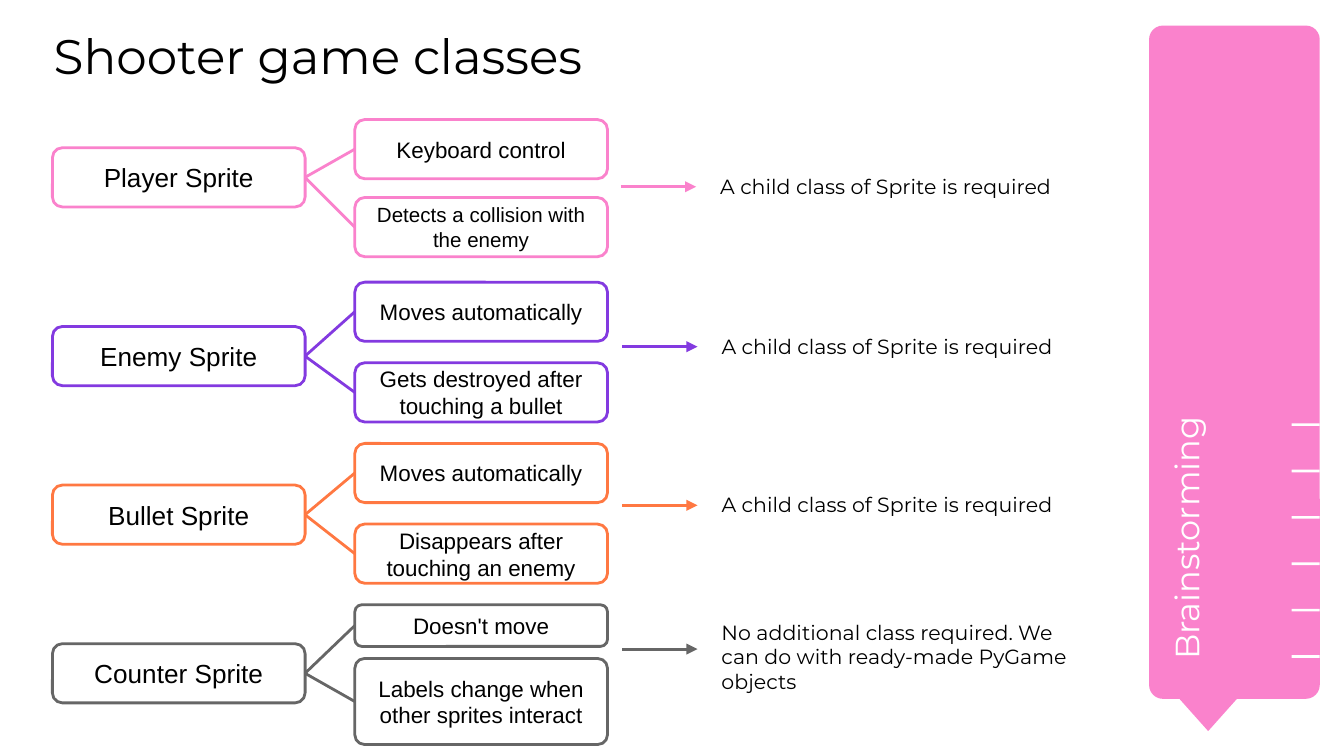
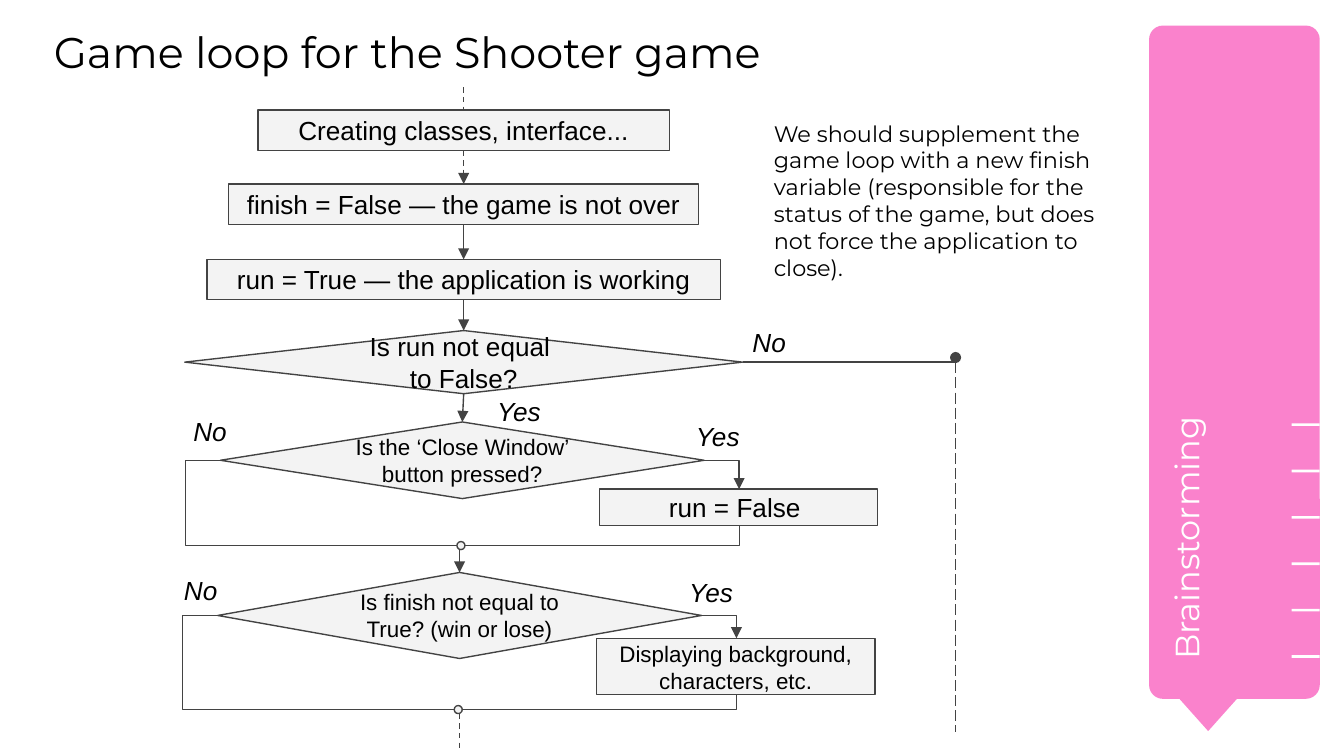
from dataclasses import dataclass

from lxml import etree
from pptx import Presentation
from pptx.dml.color import RGBColor
from pptx.enum import dml, shapes, text
from pptx.oxml.ns import qn
from pptx.util import Inches, Pt


@dataclass(frozen=True)
class Theme:
    pink: str = "FA82CC"
    purple: str = "833AE0"
    orange: str = "FF7842"
    gray: str = "666666"
    ink: str = "000000"
    paper: str = "FFFFFF"
    step_fill: str = "F3F3F3"
    step_line: str = "434343"
    display: str = "Montserrat"
    body: str = "Arial"
    classes_title: float = 26
    loop_title: float = 23
    band_size: float = 18
    large: float = 14
    medium: float = 12
    small: float = 11
    thick: float = 1.5
    thin: float = 0.75


THEME = Theme()
PRESET = shapes.MSO_SHAPE
DASH = dml.MSO_LINE.DASH
LONG_DASH = dml.MSO_LINE.LONG_DASH
TOP, LEFT, BOTTOM, RIGHT = range(4)


def rgb(value):
    return RGBColor.from_string(value)


def write(frame, content, size, font, color=THEME.ink, align=None,
          anchor=text.MSO_ANCHOR.TOP, inset=0.1, italic=None):
    frame.word_wrap = True
    frame.vertical_anchor = anchor
    frame.margin_left = frame.margin_right = Inches(inset)
    frame.margin_top = frame.margin_bottom = Inches(inset)
    frame.text = content
    for paragraph in frame.paragraphs:
        paragraph.alignment = align
        paragraph.font.size = Pt(size)
        paragraph.font.name = font
        paragraph.font.italic = italic
        paragraph.font.color.rgb = rgb(color)


class Region:
    def __init__(self, canvas, left=0, top=0):
        self.canvas, self.left, self.top = canvas, left, top

    def at(self, x, y):
        return Inches(self.left + x), Inches(self.top + y)

    def box(self, preset, x, y, width, height, fill, line=None,
            weight=THEME.thin, content=None, size=THEME.large, corner=None):
        shape = self.canvas.add_shape(
            preset, *self.at(x, y), Inches(width), Inches(height))
        shape.shadow.inherit = False
        shape.fill.solid()
        shape.fill.fore_color.rgb = rgb(fill)
        if line:
            shape.line.color.rgb = rgb(line)
            shape.line.width = Pt(weight)
        else:
            shape.line.fill.background()
        if corner is not None:
            shape.adjustments[0] = corner
        if content:
            write(shape.text_frame, content, size, THEME.body,
                  align=text.PP_ALIGN.CENTER, anchor=text.MSO_ANCHOR.MIDDLE)
        return shape

    def note(self, x, y, width, height, content, size, font=THEME.display,
             **style):
        label = self.canvas.add_textbox(
            *self.at(x, y), Inches(width), Inches(height))
        write(label.text_frame, content, size, font, **style)
        return label

    def line(self, start, end, color=THEME.step_line, weight=THEME.thin,
             dash=None, head=None, tail=None, source=None, target=None,
             kind=shapes.MSO_CONNECTOR.STRAIGHT):
        link = self.canvas.add_connector(kind, *self.at(*start), *self.at(*end))
        if source:
            link.begin_connect(*source)
        if target:
            link.end_connect(*target)
        link.line.color.rgb = rgb(color)
        link.line.width = Pt(weight)
        if dash:
            link.line.dash_style = dash
        properties = link._element.spPr
        stroke = properties.find(qn("a:ln"))
        for tag, ending in (("a:headEnd", head), ("a:tailEnd", tail)):
            if ending:
                etree.SubElement(stroke, qn(tag)).set("type", ending)
        etree.SubElement(properties, qn("a:effectLst"))
        return link

    def elbow(self, start, end, detour=None, downward=False, tail=None):
        (x1, y1), (x2, y2) = start, end
        if downward:
            middle_x, middle_y = (x1 + x2) / 2, (y1 + y2) / 2
            half_run, half_drop = abs(x2 - x1) / 2, abs(y2 - y1) / 2
            start = middle_x - half_drop, middle_y - half_run
            end = middle_x + half_drop, middle_y + half_run
        link = self.line(start, end, tail=tail, kind=shapes.MSO_CONNECTOR.ELBOW)
        geometry = link._element.spPr.find(qn("a:prstGeom"))
        if detour is None:
            geometry.set("prst", "bentConnector2")
        else:
            guides = geometry.find(qn("a:avLst"))
            if guides is None:
                guides = etree.SubElement(geometry, qn("a:avLst"))
            guide = etree.SubElement(guides, qn("a:gd"))
            guide.set("name", "adj1")
            guide.set("fmla", f"val {round(detour / (x2 - x1) * 100000)}")
        if downward:
            link._element.spPr.find(qn("a:xfrm")).set("rot", "5400000")


def side_band(slide, left, top):
    banner = Region(slide.shapes.add_group_shape().shapes, left, top)
    banner.box(PRESET.ROUNDED_RECTANGLE, 0, 0, 1.27, 5.01, THEME.pink,
               corner=0.081)
    banner.box(PRESET.FLOWCHART_MERGE, 0.11, 4.88, 0.66, 0.37, THEME.pink)
    band = Region(slide.shapes, left, top)
    stage = band.note(-1.41, 2.71, 3.54, 0.67, "Brainstorming",
                      THEME.band_size, color=THEME.paper)
    stage.rotation = 270
    for tick in range(6):
        band.box(PRESET.RECTANGLE, 1.06, 2.96 + tick * 0.345, 0.21, 0.02,
                 THEME.paper)


def new_slide(deck, title, size, width, height):
    slide = deck.slides.add_slide(deck.slide_layouts[6])
    side_band(slide, 8.55, 0.19)
    Region(slide.shapes).note(0.4, 0.19, width, height, title, size, inset=0)
    return slide


def sprite_row(slide, left, top, sprite, color, duties, arrow, verdict,
               verdict_box):
    row = Region(slide.shapes, left, top)
    stroke = {"color": color, "weight": THEME.thick}

    def card(x, y, height, content, size, corner=0.167):
        return row.box(PRESET.ROUNDED_RECTANGLE, x, y, 1.88, height,
                       THEME.paper, color, THEME.thick, content, size, corner)

    owner = card(0, 0, 0.44, sprite, THEME.large)
    for y, height, duty, *style in duties:
        task = card(2.25, y, height, duty, *(style or [THEME.medium]))
        row.line((1.88, 0.22), (2.25, y + height / 2),
                 source=(owner, RIGHT), target=(task, LEFT), **stroke)
    arrow_x, arrow_y = arrow
    row.line((arrow_x, arrow_y), (arrow_x + 0.56, arrow_y), tail="triangle",
             **stroke)
    rise, width, height = verdict_box
    row.note(arrow_x + 0.64, arrow_y - rise, width, height, verdict,
             THEME.small)


def classes_slide(deck):
    slide = new_slide(deck, "Shooter game classes", THEME.classes_title,
                      7.94, 0.55)
    child = "A child class of Sprite is required", (0.19, 3.19, 0.39)
    ready = ("No additional class required. We can do with ready-made "
             "PyGame objects", (0.32, 2.94, 0.76))
    rows = [
        (1.1, "Player Sprite", THEME.pink, [
            (-0.21, 0.44, "Keyboard control"),
            (0.37, 0.44, "Detects a collision with the enemy", THEME.small),
        ], (4.23, 0.29), *child),
        (2.43, "Enemy Sprite", THEME.purple, [
            (-0.33, 0.44, "Moves automatically"),
            (0.27, 0.44, "Gets destroyed after touching a bullet"),
        ], (4.24, 0.15), *child),
        (3.61, "Bullet Sprite", THEME.orange, [
            (-0.31, 0.44, "Moves automatically"),
            (0.29, 0.44, "Disappears after touching an enemy"),
        ], (4.24, 0.15), *child),
        (4.79, "Counter Sprite", THEME.gray, [
            (-0.29, 0.31, "Doesn't move"),
            (0.11, 0.64, "Labels change when other sprites interact",
             THEME.medium, 0.113),
        ], (4.24, 0.04), *ready),
    ]
    for top, *row in rows:
        sprite_row(slide, 0.39, top, *row)


def step(region, preset, x, y, width, height, content=None, size=THEME.large):
    return region.box(preset, x, y, width, height, THEME.step_fill,
                      THEME.step_line, content=content, size=size)


def answer(region, x, y, content):
    region.note(x, y, 0.55, 0.42, content, THEME.large, THEME.body,
                italic=True)


def setup_steps(slide, left, top):
    setup = Region(slide.shapes, left, top)
    axis = 2.08
    steps = [
        (PRESET.RECTANGLE, 0.17, 3.06, 0.3, "Creating classes, interface..."),
        (PRESET.RECTANGLE, 0.72, 3.5, 0.3,
         "finish = False — the game is not over"),
        (PRESET.RECTANGLE, 1.28, 3.82, 0.3,
         "run = True — the application is working"),
        (PRESET.FLOWCHART_DECISION, 1.81, 4.15, 0.47,
         "Is run not equal \nto False?"),
    ]
    previous, floor = None, 0
    for index, (preset, y, width, height, content) in enumerate(steps):
        current = step(setup, preset, axis - width / 2, y, width, height,
                       content)
        setup.line((axis, floor), (axis, y),
                   dash=DASH if index < 2 else None,
                   tail="triangle" if previous else None,
                   source=(previous, BOTTOM) if previous else None,
                   target=(current, TOP))
        previous, floor = current, y + height
    exit_y = y + height / 2
    setup.line((4.15, exit_y), (5.75, exit_y), source=(previous, RIGHT))
    setup.line((5.74, 2.01), (5.74, 4.8), dash=LONG_DASH, head="oval")
    answer(setup, 4.13, 1.68, "No")
    answer(setup, 2.23, 2.19, "Yes")
    return previous


def check_block(slide, left, top, height, question, action, action_box, size,
                merge_y, no_at, yes_at):
    check = Region(slide.shapes, left, top)
    middle = height / 2
    action_y, action_height = action_box
    action_x = 3.86
    decision = step(check, PRESET.FLOWCHART_DECISION, 0, 0, 3.6, height,
                    question, THEME.medium)
    step(check, PRESET.RECTANGLE, 2.82, action_y, 2.07, action_height, action,
         size)
    step(check, PRESET.OVAL, 1.76, merge_y - 0.03, 0.06, 0.06)
    check.elbow((3.6, middle), (action_x, action_y), tail="triangle")
    check.elbow((0, middle), (1.76, merge_y), detour=-0.26)
    check.elbow((action_x, action_y + action_height), (1.82, merge_y),
                downward=True)
    answer(check, *no_at, "No")
    answer(check, *yes_at, "Yes")
    return decision


def loop_slide(deck):
    slide = new_slide(deck, "Game loop for the Shooter game",
                      THEME.loop_title, 5.69, 0.38)
    flow = Region(slide.shapes)
    running = setup_steps(slide, 1.37, 0.65)
    closing = check_block(
        slide, 1.64, 3.14, 0.57, "Is the ‘Close Window’ button pressed?",
        "run = False ", (0.5, 0.27), THEME.large, 0.92,
        (-0.3, -0.15), (3.44, -0.11))
    finishing = check_block(
        slide, 1.62, 4.26, 0.64, "Is finish not equal to True? (win or lose)",
        "Displaying background, characters, etc.", (0.49, 0.42), THEME.medium,
        1.02, (-0.35, -0.09), (3.41, -0.07))
    flow.line((3.45, 2.93), (3.45, 3.14), tail="triangle",
              source=(running, BOTTOM), target=(closing, TOP))
    flow.line((3.42, 4.09), (3.42, 4.26), tail="triangle",
              target=(finishing, TOP))
    flow.line((3.42, 5.31), (3.42, 5.58), dash=DASH)
    flow.note(5.66, 0.79, 2.66, 1.41,
              "We should supplement the game loop with a new finish variable "
              "(responsible for the status of the game, but does not force "
              "the application to close).", THEME.medium)


def main():
    deck = Presentation()
    deck.slide_width = Inches(10)
    deck.slide_height = deck.slide_width * 9 // 16
    classes_slide(deck)
    loop_slide(deck)
    deck.save("out.pptx")


if __name__ == "__main__":
    main()
